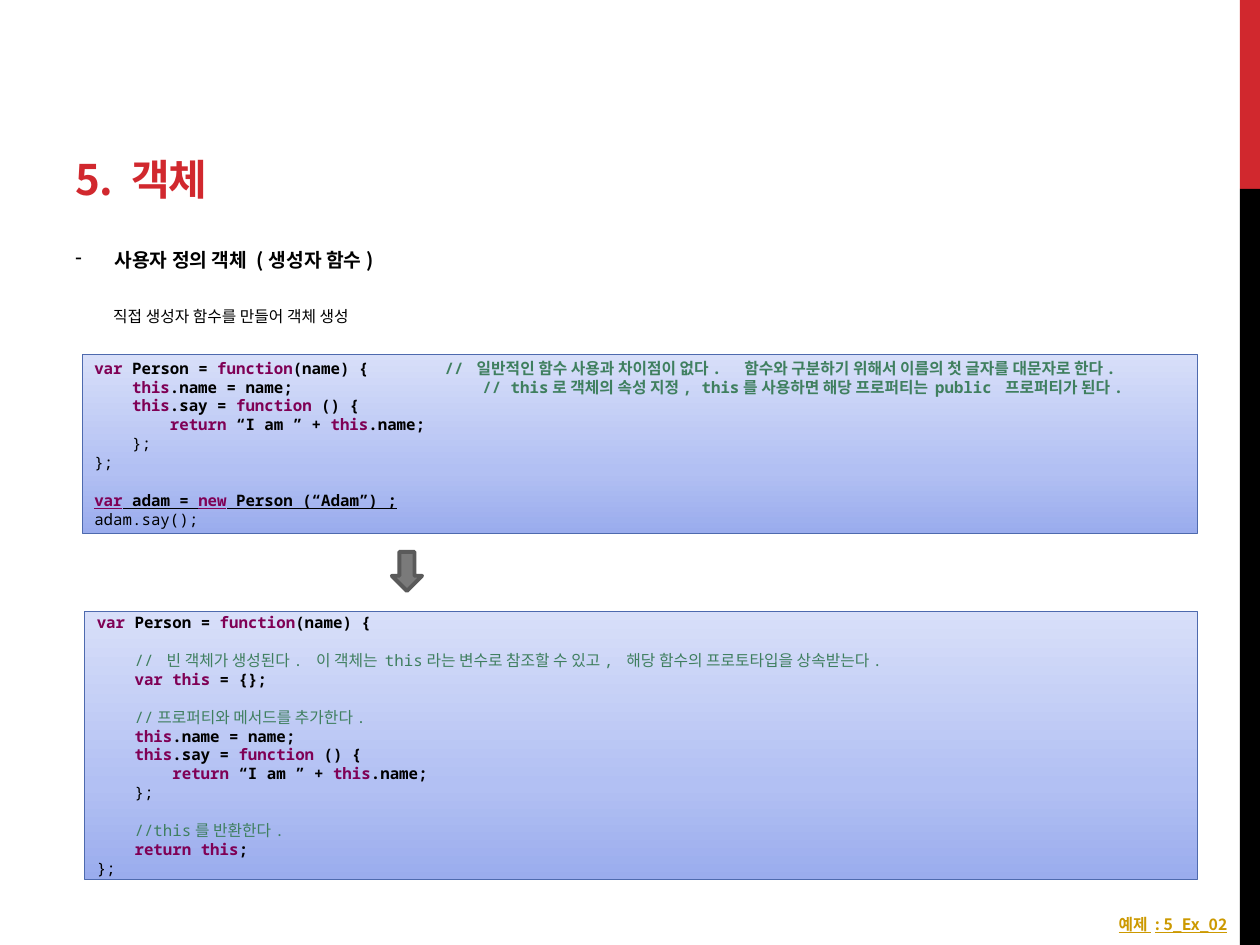
from copy import deepcopy

from lxml import etree
from pptx import Presentation, util as u
from pptx.dml.color import RGBColor
from pptx.enum import shapes, text
from pptx.oxml.ns import qn

RED = RGBColor(0xD1, 0x28, 0x2E)
BLACK = RGBColor(0, 0, 0)
GOLD = RGBColor(0xCC, 0x99, 0x00)
KEYWORD = RGBColor(0x7F, 0x00, 0x55)
COMMENT = RGBColor(0x3F, 0x7F, 0x5F)
PANEL_LINE = RGBColor(0x4E, 0x6A, 0xAE)
PANEL_STOPS = [(0, RGBColor(0x9A, 0xAC, 0xED)), (0.35, RGBColor(0xB2, 0xC0, 0xF3)),
               (1, RGBColor(0xD8, 0xDF, 0xF9))]
GRAY = RGBColor(0x7A, 0x7A, 0x7A)
DARK_GRAY = RGBColor(0x5A, 0x5A, 0x5A)

SANS, MONO = "Noto Sans CJK KR", "Noto Sans Mono"
CODE_SIZE, CODE_LEADING = 9, 10.8

# Keywords stand between backticks; a tab leads to an aligned comment.
METHOD = [
    "    `this`.say = `function` () {",
    "        `return` “I am ” + `this`.name;",
    "    };",
]
USAGE = [
    ("`var` Person = `function`(name) {\t"
     "// 일반적인 함수 사용과 차이점이 없다.  함수와 구분하기 위해서 이름의 첫 글자를 대문자로 한다.", {"tab": 2.78}),
    ("    `this`.name = name;\t"
     "// this로 객체의 속성 지정, this를 사용하면 해당 프로퍼티는 public 프로퍼티가 된다.", {"tab": 3.08}),
    *METHOD,
    "};",
    "",
    ("`var` adam = `new` Person (“Adam”) ;", {"underline": True}),
    "adam.say();",
]
EXPANDED = [
    "`var` Person = `function`(name) {",
    "",
    "    // 빈 객체가 생성된다. 이 객체는 this라는 변수로 참조할 수 있고, 해당 함수의 프로토타입을 상속받는다.",
    "    `var this` = {};",
    "",
    "    //프로퍼티와 메서드를 추가한다.",
    "    `this`.name = name;",
    *METHOD,
    "",
    "    //this를 반환한다.",
    "    `return this`;",
    "};",
]


def add_span(para, content, font=SANS, size=9, color=BLACK, bold=False,
             underline=False, spacing=0):
    span = para.add_run()
    span.text = content
    span.font.name, span.font.size = font, u.Pt(size)
    span.font.bold, span.font.underline = bold, underline
    span.font.color.rgb = color
    properties = span.font._element
    etree.SubElement(properties, qn("a:ea")).set("typeface", SANS)
    if spacing:
        properties.set("spc", str(round(spacing * 100)))


class SlideBuilder:
    def __init__(self, deck):
        self.width, self.height = deck.slide_width, deck.slide_height
        self.page = deck.slides.add_slide(deck.slide_layouts[6])

    def place(self, left, top, width, height):
        """Turn tenths of the width and 7.5ths of the height into lengths."""
        across, down = self.width / 10, self.height / 7.5
        return (round(left * across), round(top * down),
                round(width * across), round(height * down))

    def shape(self, kind, area, fill=None, line=None, weight=0):
        box = self.page.shapes.add_shape(kind, *self.place(*area))
        box.shadow.inherit = False
        if fill is not None:
            box.fill.solid()
            box.fill.fore_color.rgb = fill
        if line is None:
            box.line.fill.background()
        else:
            box.line.color.rgb = line
            box.line.width = u.Pt(weight)
        return box

    def label(self, area, anchor=text.MSO_ANCHOR.TOP, wrap=True):
        frame = self.page.shapes.add_textbox(*self.place(*area)).text_frame
        frame.word_wrap = wrap
        frame.vertical_anchor = anchor
        return frame

    def code_panel(self, area, lines):
        box = self.shape(shapes.MSO_SHAPE.RECTANGLE, area, line=PANEL_LINE, weight=0.25)
        # Three-stop gradient, dark at the bottom
        box.fill.gradient()
        box.fill.gradient_angle = 90
        first = box.fill._xPr.find(qn("a:gradFill")).find(qn("a:gsLst"))[0]
        first.addnext(deepcopy(first))
        for stop, (position, color) in zip(box.fill.gradient_stops, PANEL_STOPS):
            stop.position = position
            stop.color.rgb = color
        frame = box.text_frame
        frame.word_wrap = True
        frame.vertical_anchor = text.MSO_ANCHOR.MIDDLE
        para, gap = frame.paragraphs[0], 0
        for index, line in enumerate(lines):
            if not line:
                gap = CODE_LEADING
                continue
            content, options = (line, {}) if isinstance(line, str) else line
            if index:
                para = frame.add_paragraph()
            self.code_line(para, content, gap, **options)
            gap = 0

    def code_line(self, para, content, gap, tab=None, underline=False):
        para.alignment = text.PP_ALIGN.LEFT
        para.line_spacing = u.Pt(CODE_LEADING)
        if gap:
            para.space_before = u.Pt(gap)
        if tab:
            stops = etree.SubElement(para._p.get_or_add_pPr(), qn("a:tabLst"))
            etree.SubElement(stops, qn("a:tab"), pos=str(u.Inches(tab)), algn="l")
        code, mark, remark = content.partition("//")
        style = dict(font=MONO, size=CODE_SIZE, bold="`" in code, underline=underline)
        for index, part in enumerate(code.split("`")):
            if part:
                add_span(para, part, color=KEYWORD if index % 2 else BLACK, **style)
        if mark:
            add_span(para, mark + remark, color=COMMENT, **style)


def main():
    deck = Presentation()
    deck.slide_width, deck.slide_height = u.Inches(10), u.Inches(7.5)
    slide = SlideBuilder(deck)

    # Side band
    for top, height, color in ((0, 1.5, RED), (1.5, 6, BLACK)):
        slide.shape(shapes.MSO_SHAPE.RECTANGLE, (9.84, top, 0.16, height), fill=color)

    # Title
    title = slide.label((0.5, 0.17, 8.36, 1.5), text.MSO_ANCHOR.BOTTOM)
    add_span(title.paragraphs[0], "5. 객체", size=24, color=RED, bold=True, spacing=-0.6)

    # Topic and its explanation
    body = slide.label((0.5, 1.92, 9.22, 0.85))
    topic = body.paragraphs[0]
    topic.space_after = u.Pt(6)
    properties = topic._p.get_or_add_pPr()
    properties.set("marL", str(u.Inches(0.31)))
    properties.set("indent", str(-u.Inches(0.31)))
    etree.SubElement(properties, qn("a:buChar"), char="-")
    add_span(topic, "사용자 정의 객체 (생성자 함수)", size=11, bold=True)
    detail = body.add_paragraph()
    detail.space_before = u.Pt(14.3)
    detail._p.get_or_add_pPr().set("marL", str(u.Inches(0.3)))
    add_span(detail, "직접 생성자 함수를 만들어 객체 생성")

    # Example reference
    example = slide.label((8.78, 7.21, 1.18, 0.25), wrap=False)
    add_span(example.paragraphs[0], "예제 : 5_Ex_02", color=GOLD, bold=True, underline=True)

    # Code and what it expands to
    slide.code_panel((0.65, 2.81, 8.85, 1.42), USAGE)
    slide.code_panel((0.67, 4.85, 8.83, 2.13), EXPANDED)
    slide.shape(shapes.MSO_SHAPE.DOWN_ARROW, (3.11, 4.38, 0.24, 0.31),
                fill=GRAY, line=DARK_GRAY, weight=2.25)

    deck.save("out.pptx")


if __name__ == "__main__":
    main()
